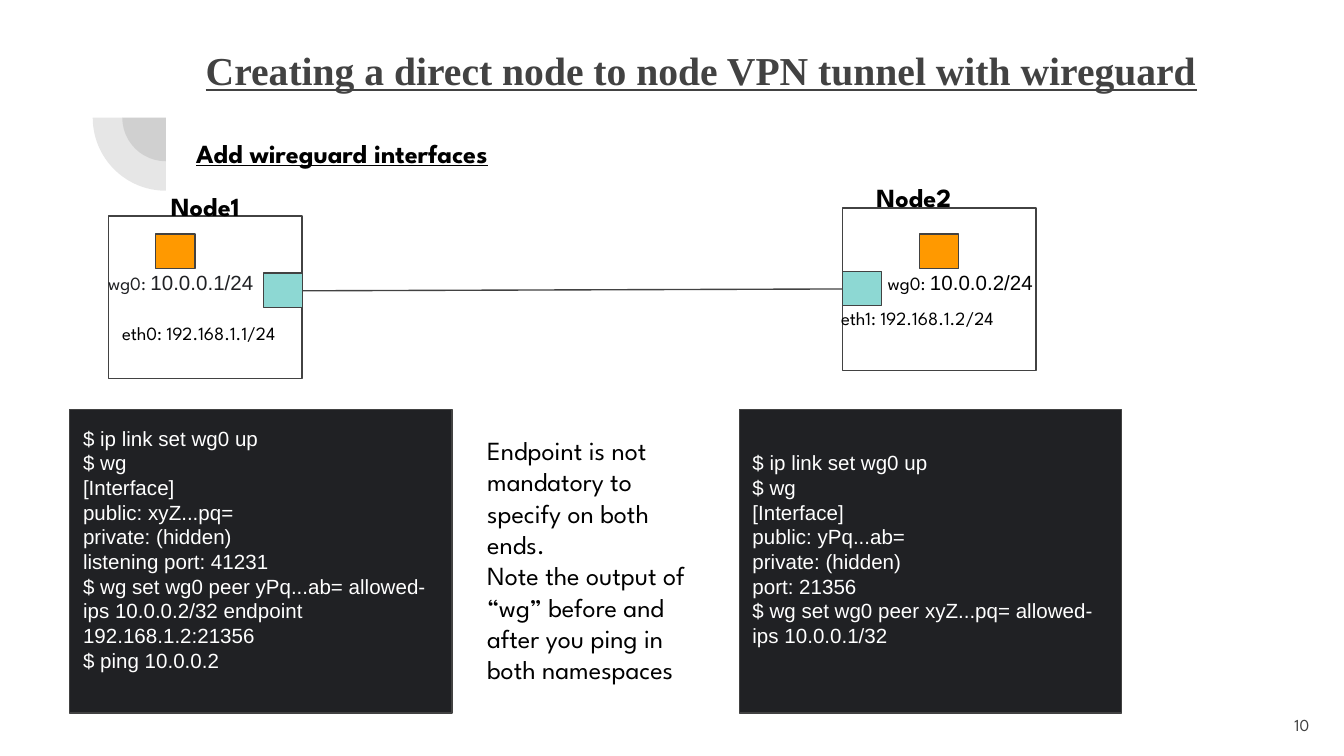
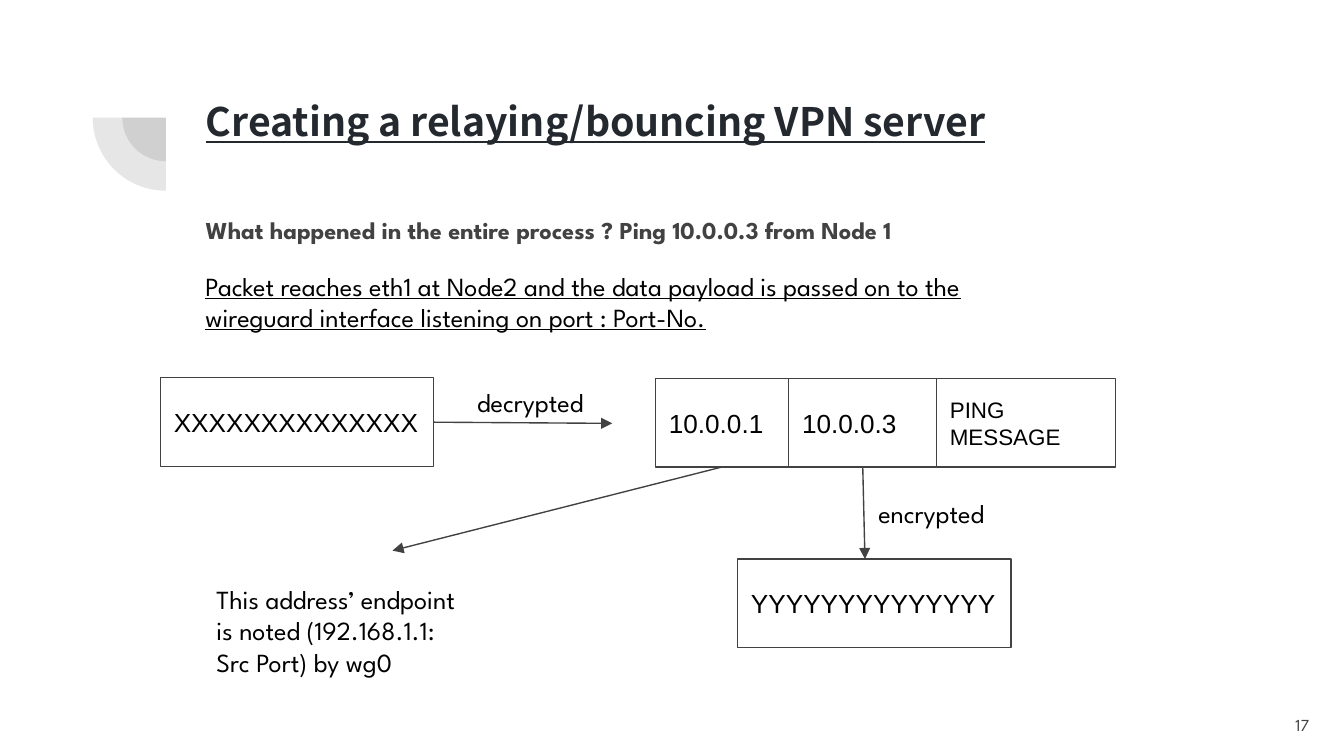
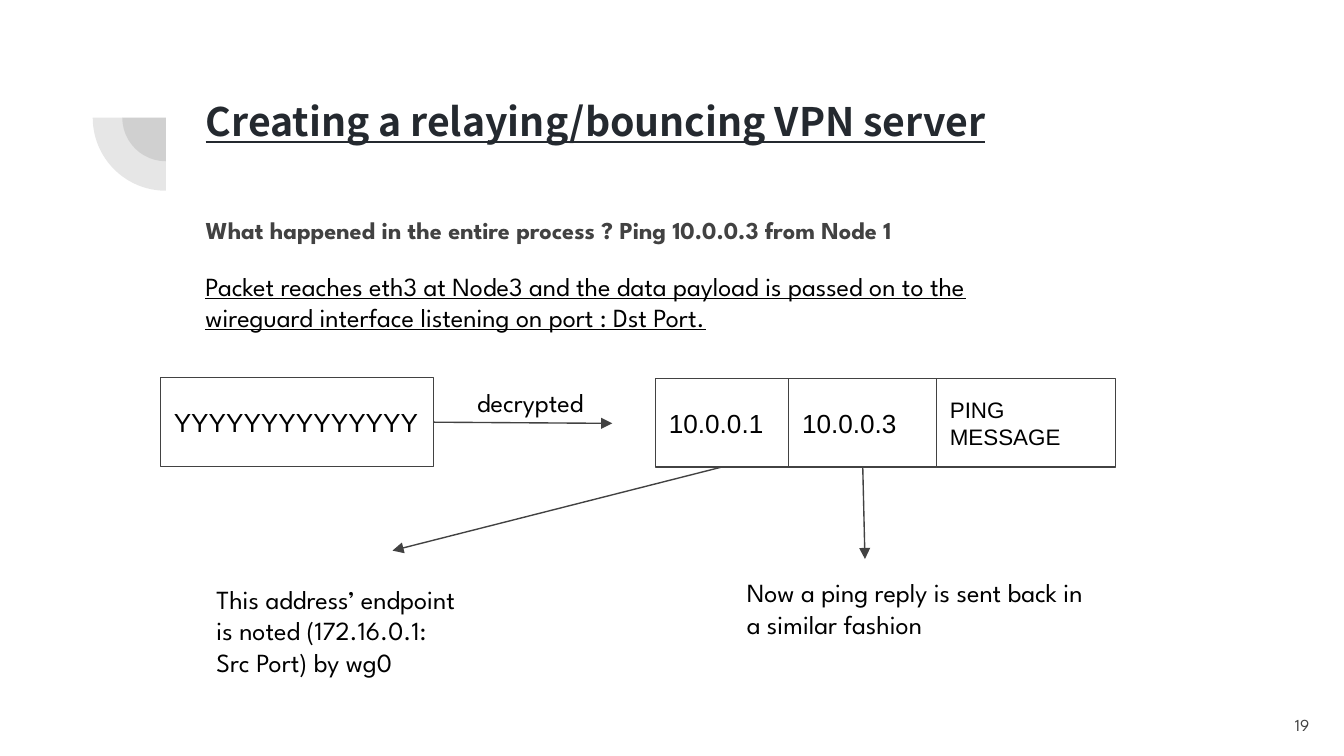
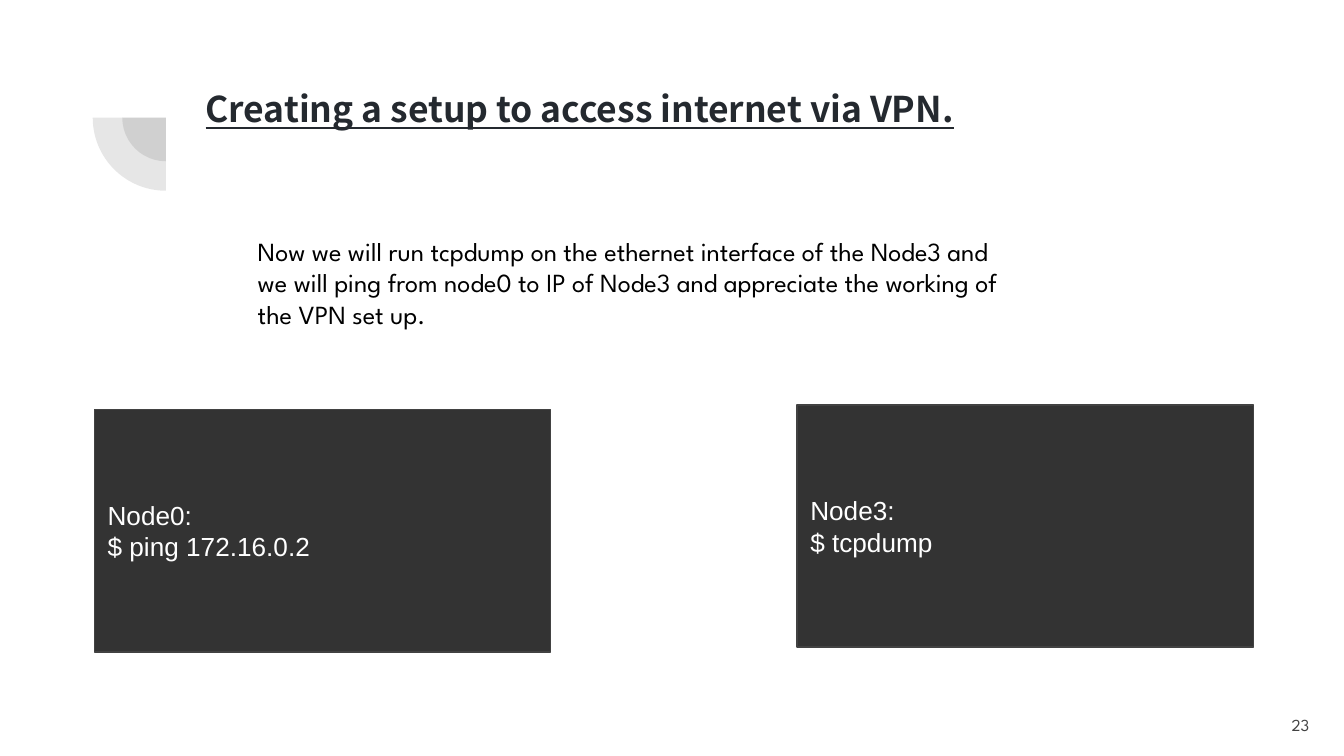
"""Build four slides about wireguard VPN tunnels and save them to out.pptx."""
from lxml.etree import SubElement
from pptx import Presentation
from pptx.dml.color import RGBColor
from pptx.enum.shapes import MSO_CONNECTOR as LINK, MSO_SHAPE as SHAPE
from pptx.enum.text import MSO_ANCHOR as ANCHOR, MSO_AUTO_SIZE as FIT, PP_ALIGN as ALIGN
from pptx.oxml.ns import qn
from pptx.util import Pt

GREY = RGBColor(0x42, 0x42, 0x42)
BLACK = RGBColor(0, 0, 0)
WHITE = RGBColor(0xFF, 0xFF, 0xFF)
INK = RGBColor(0x24, 0x29, 0x2F)
NIGHT = RGBColor(0x20, 0x21, 0x24)
CHARCOAL = RGBColor(0x33, 0x33, 0x33)
TEAL = RGBColor(0x8D, 0xD8, 0xD3)
ORANGE = RGBColor(0xFF, 0x99, 0x00)

PROSE = {"size": 14, "name": "League Spartan", "color": BLACK}
SMALL = {**PROSE, "size": 10}
PACKET = {"size": 14, "name": "Arial", "color": BLACK}
CONSOLE = {**PACKET, "color": WHITE}
COMMANDS = {**CONSOLE, "size": 11}
HEADING = {"size": 21, "name": "Noto Sans CJK JP", "color": INK, "bold": True, "underline": True}
QUESTION = {"size": 13, "name": "League Spartan", "color": GREY, "bold": True}
PAGE = {"size": 9, "name": "League Spartan", "color": GREY}


def write(frame, lines, style, anchor=ANCHOR.TOP, align=ALIGN.LEFT, spacing=None):
    layout_values = {"word_wrap": True, "auto_size": FIT.NONE, "vertical_anchor": anchor}
    margins = dict.fromkeys(("margin_left", "margin_top", "margin_right", "margin_bottom"), Pt(7.2))
    for attribute, value in {**layout_values, **margins}.items():
        setattr(frame, attribute, value)
    for index, line in enumerate(lines):
        paragraph = frame.add_paragraph() if index else frame.paragraphs[0]
        paragraph.alignment = align
        paragraph.line_spacing = spacing or Pt(round(style["size"] * 1.2, 1))
        run = paragraph.add_run()
        run.text = line
        for attribute, value in style.items():
            if attribute == "color":
                run.font.color.rgb = value
            else:
                setattr(run.font, attribute, Pt(value) if attribute == "size" else value)


def block(slide, place, lines=(), style=PROSE, fill=None, framed=False, **options):
    place = [Pt(value) for value in place]
    if framed:
        shape = slide.shapes.add_shape(SHAPE.RECTANGLE, *place)
        shape.shadow.inherit = False
        shape.line.color.rgb = GREY
        shape.line.width = Pt(0.75)
        if fill is None:
            shape.fill.background()
        else:
            shape.fill.solid()
            shape.fill.fore_color.rgb = fill
        options["anchor"] = ANCHOR.MIDDLE
    else:
        shape = slide.shapes.add_textbox(*place)
    write(shape.text_frame, lines, style, **options)
    return shape.text_frame


deck = Presentation()
deck.slide_width, deck.slide_height = Pt(720), Pt(405)
layout = deck.slide_layouts[1]
for placeholder in list(layout.placeholders):
    if placeholder.placeholder_format.idx >= 10:
        layout.shapes.element.remove(placeholder.element)

relay = "Creating a relaying/bouncing VPN server"
question = "What happened in the entire process ? Ping 10.0.0.3 from Node 1"
openings = [
    ("10", "Creating a direct node to node VPN tunnel with wireguard", 17.3, 49,
     {**HEADING, "size": 21.2, "name": "Times New Roman", "color": GREY}, 1.0, None),
    ("17", relay, 41, 54, HEADING, 1.15, question),
    ("19", relay, 41, 54, HEADING, 1.15, question),
    ("23", "Creating a setup to access internet via VPN.", 36, 47.5,
     {**HEADING, "size": 19}, 1.15, None),
]
slides = []
for page, heading, top, height, style, spacing, subtitle in openings:
    slide = deck.slides.add_slide(layout)
    slides.append(slide)
    title, body = slide.shapes.title, slide.placeholders[1]
    title.left, title.top, title.width, title.height = Pt(103), Pt(top), Pt(553.7), Pt(height)
    write(title.text_frame, [heading], style, spacing=spacing)
    if subtitle:
        body.left, body.top, body.width, body.height = Pt(103), Pt(105.8), Pt(553.7), Pt(31.7)
        write(body.text_frame, [subtitle], QUESTION, spacing=1.15)
        paragraph = body.text_frame.paragraphs[0]
        paragraph.space_before, paragraph.space_after = Pt(0), Pt(12)
        properties = paragraph.alignment is not None and body.element.find(".//" + qn("a:pPr"))
        properties.set("marL", "0")
        properties.set("indent", "0")
        SubElement(properties, qn("a:buNone"))
    else:
        slide.shapes.element.remove(body.element)
    block(slide, (665.3, 373, 43.2, 31), [page], PAGE, anchor=ANCHOR.MIDDLE, align=ALIGN.RIGHT)

tunnel, *hops, internet = slides

for diameter in (46.8, 78.4):
    corner = [Pt(centre - diameter / 2) for centre in (88.9, 63)]
    quarter = tunnel.shapes.add_shape(SHAPE.PIE, *corner, Pt(diameter), Pt(diameter))
    quarter.adjustments[0], quarter.adjustments[1] = 108, 162
    quarter.rotation = 270
    quarter.shadow.inherit = False
    quarter.line.fill.background()
    quarter.fill.solid()
    quarter.fill.fore_color.rgb = GREY
    SubElement(quarter.element.find(".//" + qn("a:srgbClr")), qn("a:alpha")).set("val", "13000")
    layout.shapes.element.append(quarter.element)

links = [(tunnel, 162, 155.8, 451.4, 154.8, False)]

block(tunnel, (98, 66.3, 190, 31.7), ["Add wireguard interfaces"],
      {**PROSE, "bold": True, "underline": True})
nodes = [
    ("Node1", (58.2, 115.8), (65.5, 95), (141, 146.3), (83.4, 125.3),
     "eth0: 192.168.1.1/24", (58.3, 165), "10.0.0.1/24", (48.3, 137.5), NIGHT),
    ("Node2", (451.4, 111.5), (443.5, 90), (451.4, 145.3), (492.6, 125.3),
     "eth1: 192.168.1.2/24", (443.5, 157), "10.0.0.2/24", (465.9, 137.5), BLACK),
]
for name, frame, name_at, port, tunnel_port, eth, eth_at, address, wg_at, tint in nodes:
    block(tunnel, (*frame, 103.7, 87), framed=True)
    block(tunnel, (*port, 21, 18.5), fill=TEAL, framed=True)
    block(tunnel, (*tunnel_port, 21, 18.5), fill=ORANGE, framed=True)
    label = block(tunnel, (*name_at, 106, 31.7), [name], {**PROSE, "bold": True})
    label.margin_left = Pt(26)
    block(tunnel, (*eth_at, 147, 26.6), [eth], SMALL)
    label = block(tunnel, (*wg_at, 160, 28), ["wg0: "], {**SMALL, "color": tint}, spacing=Pt(13.2))
    label.margin_left = Pt(9.7)
    run = label.paragraphs[0].add_run()
    run.text = address
    run.font.size, run.font.name, run.font.color.rgb = Pt(11), "Arial", tint

setup = ["$ ip link set wg0 up", "$ wg", "[Interface]"]
terminals = [
    (37.4, ["public: xyZ...pq=", "private: (hidden)", "listening port: 41231",
            "$ wg set wg0 peer yPq...ab= allowed-ips 10.0.0.2/32 endpoint 192.168.1.2:21356",
            "$ ping 10.0.0.2"]),
    (396, ["public: yPq...ab=", "private: (hidden)", "port: 21356",
           "$ wg set wg0 peer xyZ...pq= allowed-ips 10.0.0.1/32"]),
]
for left, session in terminals:
    terminal = block(tunnel, (left, 219.4, 204.8, 162.7), setup + session, COMMANDS,
                     fill=NIGHT, framed=True)
    terminal.margin_bottom = Pt(20.4)
block(tunnel, (253.9, 225.4, 130.3, 150.5),
      ["Endpoint is not mandatory to specify on both ends.",
       "Note the output of “wg” before and after you ping in both namespaces"])

journeys = [
    ("XXXXXXXXXXXXXX", "eth1 at Node2", "Port-No.", "192.168.1.1"),
    ("YYYYYYYYYYYYYY", "eth3 at Node3", "Dst Port.", "172.16.0.1"),
]
for hop, (cipher, arrival, port, endpoint) in zip(hops, journeys):
    block(hop, (103, 137.5, 473, 48.2),
          [f"Packet reaches {arrival} and the data payload is passed on to the "
           f"wireguard interface listening on port : {port}"], {**PROSE, "underline": True})
    block(hop, (86, 202.4, 146.4, 47.5), [cipher], PACKET, WHITE, True)
    block(hop, (248.5, 200, 85.7, 31.7), ["decrypted"])
    left = 351.2
    for part, width, size in (("10.0.0.1", 71.4, 14), ("10.0.0.3", 79.2, 14), ("PING MESSAGE", 95.8, 12)):
        block(hop, (left, 202.8, width, 47.5), [part], {**PACKET, "size": size}, WHITE, True)
        left += width
    block(hop, (108.9, 305.2, 146.2, 82),
          [f"This address’ endpoint is noted ({endpoint}: Src Port) by wg0"])
    links += [
        (hop, 232.4, 226.2, 328, 226.8, True),
        (hop, 462.2, 250.2, 463.4, 299.5, True),
        (hop, 386.8, 250.2, 210.3, 295, True),
    ]

block(hops[0], (395.2, 299.5, 146.4, 47.5), ["YYYYYYYYYYYYYY"], PACKET, WHITE, True)
block(hops[0], (463.4, 259.2, 118, 31.7), ["encrypted"])
block(hops[1], (393, 301.7, 197.3, 48.2), ["Now a ping reply is sent back in a similar fashion"])

block(internet, (131, 118.8, 418.3, 65.5),
      ["Now we will run tcpdump on the ethernet interface of the Node3 and we will ping "
       "from node0 to IP of Node3 and appreciate the working of the VPN set up."])
for left, top, session in ((427, 216.9, ["Node3:", "$ tcpdump"]),
                           (50.6, 219.5, ["Node0:", "$ ping 172.16.0.2"])):
    block(internet, (left, top, 244.4, 129.8), session, CONSOLE, CHARCOAL, True)

for slide, *ends, arrow in links:
    link = slide.shapes.add_connector(LINK.STRAIGHT, *[Pt(value) for value in ends])
    link.line.color.rgb = GREY
    link.line.width = Pt(0.75)
    if arrow:
        SubElement(link.element.find(".//" + qn("a:ln")), qn("a:tailEnd")).set("type", "triangle")
    SubElement(link.element.find(qn("p:spPr")), qn("a:effectLst"))

deck.save("out.pptx")
